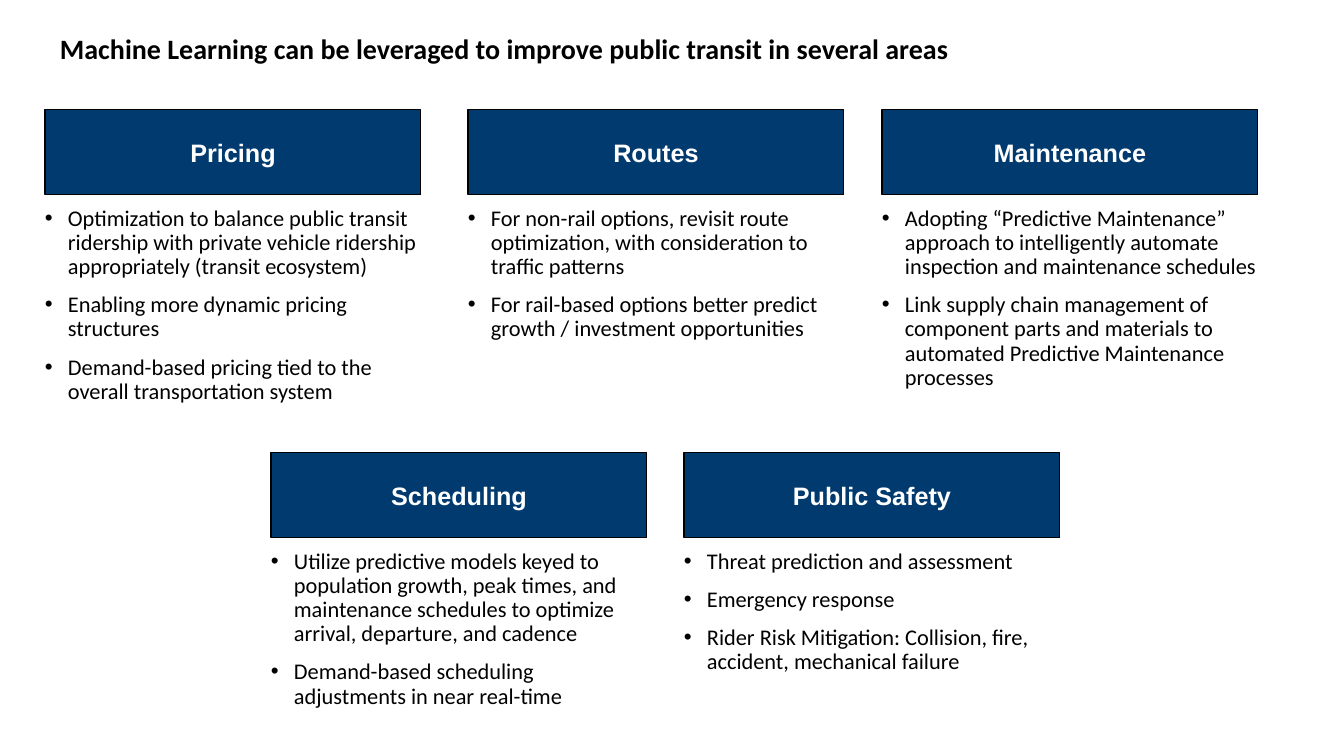
"""Build a slide on five areas where machine learning improves public transit."""
from pptx import Presentation
from pptx import util as u
from pptx.dml.color import RGBColor
from pptx.enum import shapes, text
from lxml import etree

TITLE = "Machine Learning can be leveraged to improve public transit in several areas"
ROWS = [
    {"top": 110, "deep": 239, "areas": [
        (45, "Pricing", [
            "Optimization to balance public transit ridership with private vehicle ridership appropriately (transit ecosystem)",
            "Enabling more dynamic pricing structures",
            "Demand-based pricing tied to the overall transportation system"]),
        (468, "Routes", [
            "For non-rail options, revisit route optimization, with consideration to traffic patterns",
            "For rail-based options better predict growth / investment opportunities"]),
        (882, "Maintenance", [
            "Adopting “Predictive Maintenance” approach to intelligently automate inspection and maintenance schedules",
            "Link supply chain management of component parts and materials to automated Predictive Maintenance processes"]),
    ]},
    {"top": 453, "deep": 177, "areas": [
        (271, "Scheduling", [
            "Utilize predictive models keyed to population growth, peak times, and maintenance schedules to optimize arrival, departure, and cadence",
            "Demand-based scheduling adjustments in near real-time"]),
        (684, "Public Safety", [
            "Threat prediction and assessment",
            "Emergency response",
            "Rider Risk Mitigation: Collision, fire, accident, mechanical failure"]),
    ]},
]
THEME = {
    "navy": "003A6F", "black": "000000",
    "title": {"name": "Calibri", "size": 20, "bold": True, "color": "000000"},
    "head": {"name": "Arial", "size": 18, "bold": True, "color": "FFFFFF"},
    "body": {"name": "Calibri", "size": 16, "bold": False, "color": "000000"},
}
WIDE, TALL, DROP, PAD, INSET, HANG = 376, 85, 92, 10, 5, 23


def px(num):
    """Turn pixels into EMU."""
    return u.Emu(round(num * 914400 / 100.8))


def put(obj, vals):
    """Set attributes from a dict."""
    for key, val in vals.items():
        setattr(obj, key, val)


def write(shape, lines, style, frame, para):
    """Fill a shape with styled paragraphs."""
    box = shape.text_frame
    put(box, {"word_wrap": True, **frame})
    look = THEME[style]
    for i, line in enumerate(lines):
        item = box.add_paragraph() if i else box.paragraphs[0]
        put(item, para)
        run = item.add_run()
        run.text = line
        put(run.font, {"name": look["name"], "size": u.Pt(look["size"]), "bold": look["bold"]})
        run.font.color.rgb = RGBColor.from_string(look["color"])
    return box


def bullet(item):
    """Give a paragraph a hanging bullet."""
    props = item._p.get_or_add_pPr()
    props.set("marL", str(px(HANG)))
    props.set("indent", str(-px(HANG)))
    space = "{http://schemas.openxmlformats.org/drawingml/2006/main}"
    etree.SubElement(props, space + "buFont").set("typeface", "Arial")
    etree.SubElement(props, space + "buChar").set("char", "•")


def header(slide, left, top, name):
    """Add a navy header bar."""
    bar = slide.shapes.add_shape(shapes.MSO_SHAPE.RECTANGLE, *map(px, (left, top, WIDE, TALL)))
    bar.shadow.inherit = False
    bar.fill.solid()
    bar.fill.fore_color.rgb = RGBColor.from_string(THEME["navy"])
    bar.line.color.rgb = RGBColor.from_string(THEME["black"])
    bar.line.width = u.Pt(0.75)
    sides = {f"margin_{side}": px(INSET) for side in ("left", "right", "top", "bottom")}
    write(bar, [name], "head", {"vertical_anchor": text.MSO_ANCHOR.MIDDLE, **sides},
          {"alignment": text.PP_ALIGN.CENTER})


def points(slide, left, top, deep, lines):
    """Add the bullets below a header."""
    area = slide.shapes.add_textbox(*map(px, (left - PAD, top + DROP, WIDE + 2 * PAD, deep)))
    box = write(area, lines, "body", {"vertical_anchor": text.MSO_ANCHOR.TOP},
                {"line_spacing": 0.9, "space_before": u.Pt(10)})
    for item in box.paragraphs:
        bullet(item)


deck = Presentation()
put(deck, {"slide_width": px(1344), "slide_height": px(756)})
slide = deck.slides.add_slide(deck.slide_layouts[6])
title = slide.shapes.add_textbox(*map(px, (50, 10, 1260, 81)))
write(title, [TITLE], "title", {"vertical_anchor": text.MSO_ANCHOR.MIDDLE}, {"line_spacing": 0.9})
for row in ROWS:
    for left, name, lines in row["areas"]:
        header(slide, left, row["top"], name)
        points(slide, left, row["top"], row["deep"], lines)
deck.save("out.pptx")
